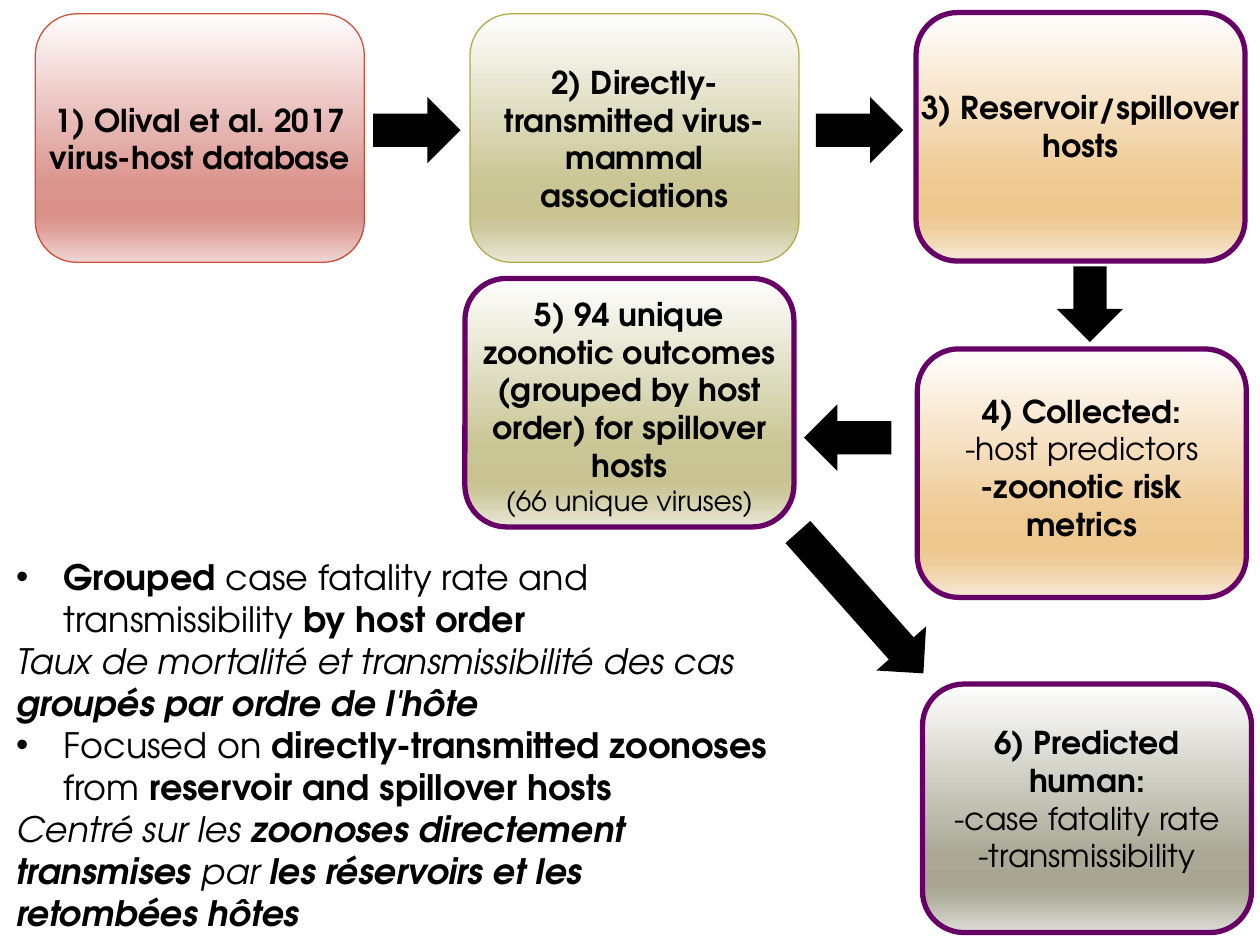
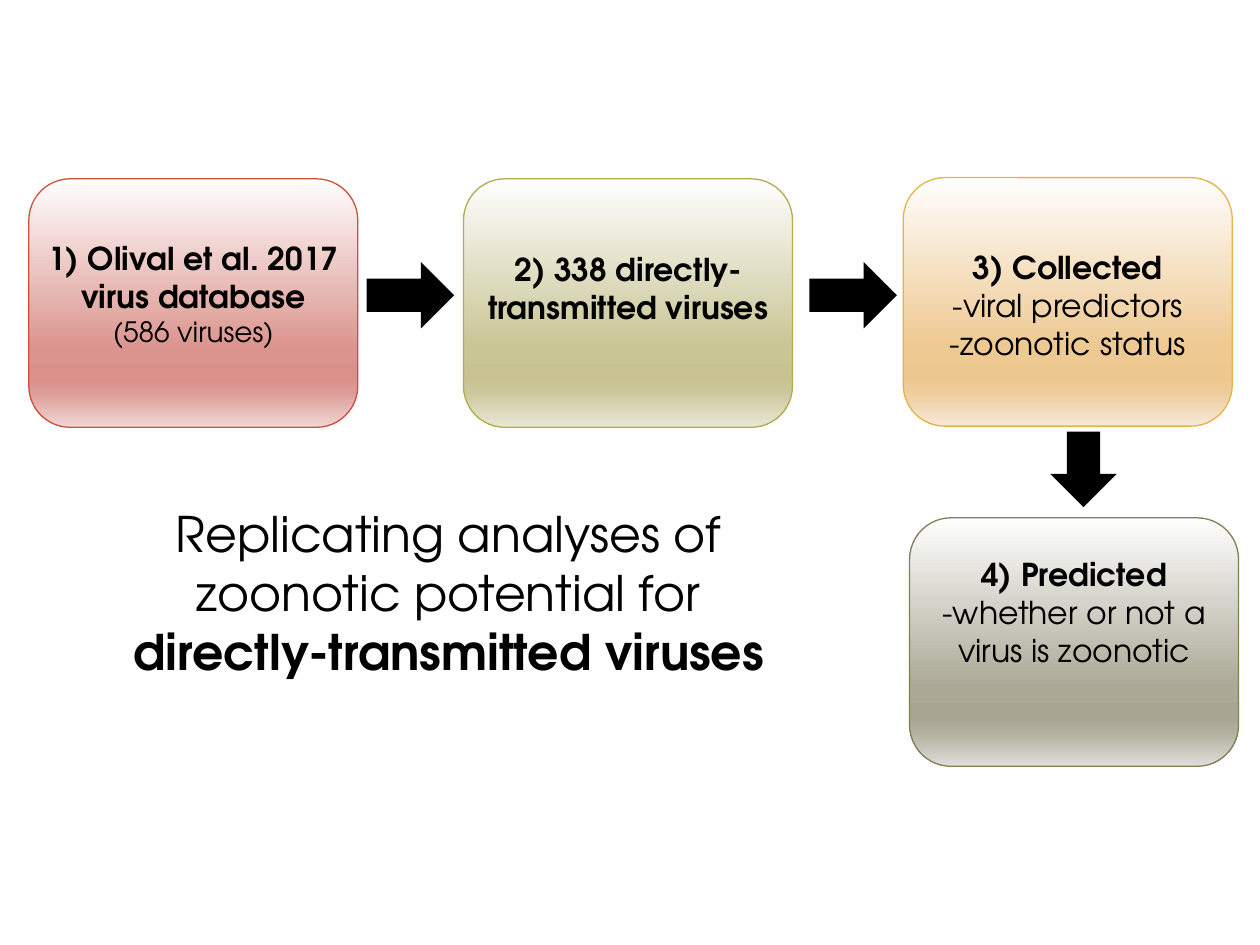
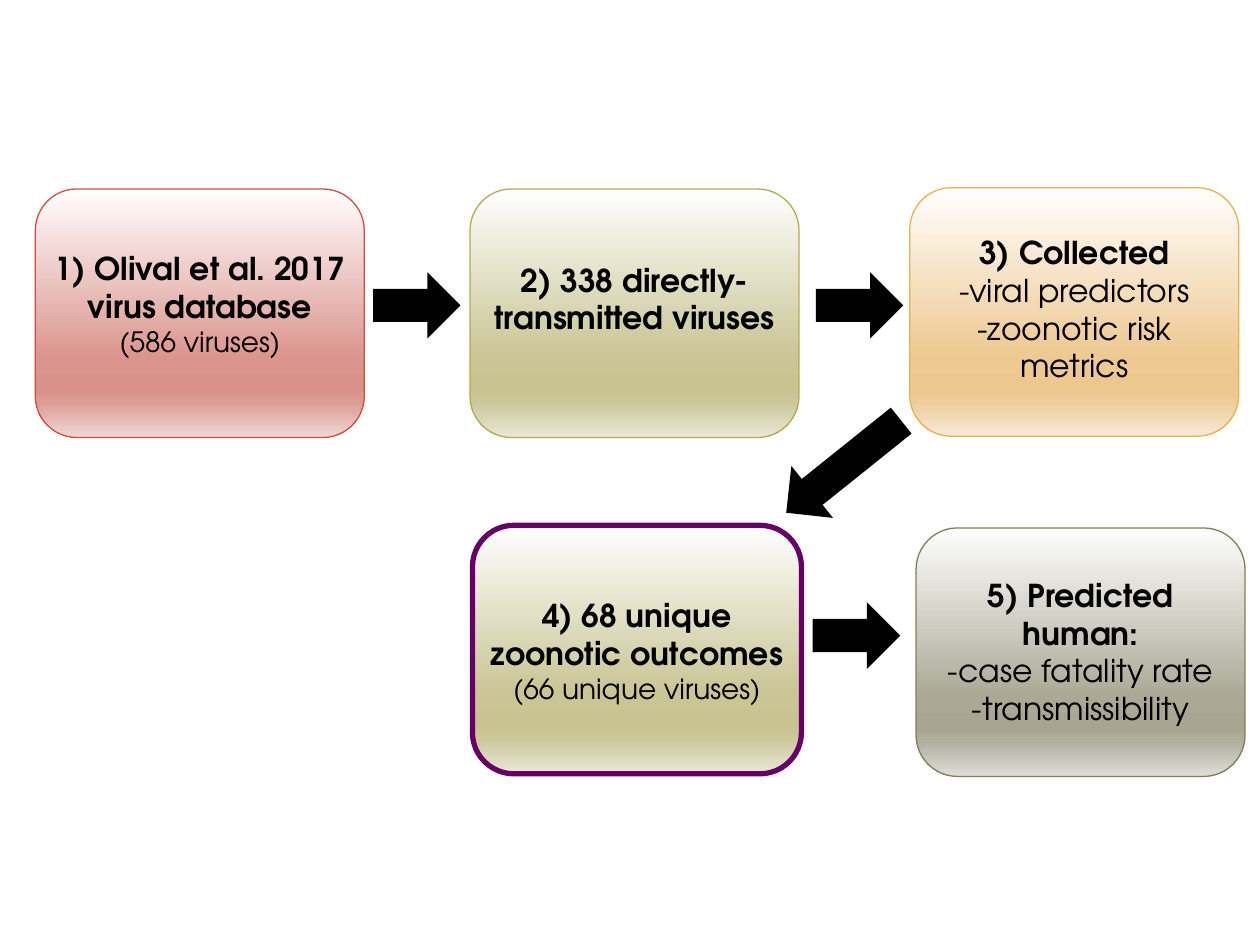
from lxml import etree
from pptx import Presentation
from pptx.dml.color import RGBColor
from pptx.enum import shapes, text
from pptx.oxml import ns
from pptx.util import Pt

FONT = "TeX Gyre Adventor"
BLACK, WHITE, PURPLE = "000000", "FFFFFF", "660066"
CARD_W, CARD_H, ARROW_W, ARROW_H = 188, 142, 50, 38
LINE_H, INSET, BULLET = 21.6, 3.6, 27
STOPS = (0, 68, 81, 86, 100)
TONES = {
    "red": ("CE503A", ("FFFEFE", "DB958E", "DA918A", "DD9D97", "F0D7D5")),
    "green": ("B3AC4F", ("FEFEFE", "C9C594", "C8C390", "CCC89C", "E9E7D7")),
    "orange": ("E7B248", ("FFFEFE", "EEC992", "EDC88E", "EECC9B", "F7E9D7")),
    "grey": ("827E55", ("FEFEFE", "ABA996", "A8A692", "B1AF9E", "DEDDD8")),
}

HEAD = {"size": 18, "bold": True}
ITEM = {"size": 18, "bold": False}
NOTE = {"size": 16, "bold": False}
BIG = {"size": 28, "bold": False}
EN = {"size": 20, "bold": False, "italic": False}
FR = {**EN, "italic": True}
EN_B, FR_B = {**EN, "bold": True}, {**FR, "bold": True}
BIG_B = {**BIG, "bold": True}

DATABASE = ("red", False, (0, 0), (31, 188, 3),
            [("1) Olival et al. 2017 virus database", HEAD), ("(586 viruses)", NOTE)])
DIRECT = ("green", False, (248.4, 0), (37.4, 188, 2),
          [("2) 338 directly-transmitted viruses", HEAD)])
RISK = [("-case fatality rate", ITEM), ("-transmissibility", ITEM)]
ROW_ARROWS = [(193, 47.5, ARROW_W, 0), (446, 47.5, ARROW_W, 0)]
DOWN_ARROW = (581, 147, 43.2, 90)

SLIDES = [
    {
        "origin": (20.2, 7.9),
        "cards": [
            ("red", False, (0, 0), (46.1, 188, 3),
             [("1) Olival et al. 2017 virus-host database", HEAD)]),
            ("green", False, (248.4, 0), (24.5, 188, 4),
             [("2) Directly-transmitted virus-mammal associations", HEAD)]),
            ("orange", True, (503.3, -0.7), (39.6, 207, 2),
             [("3) Reservoir/spillover hosts", HEAD)]),
            ("orange", True, (504, 191.5), (20.9, 184, 4),
             [("4) Collected:", HEAD), ("-host predictors", ITEM),
              ("-zoonotic risk metrics", HEAD)]),
            ("green", True, (245.5, 151.2), (5.8, 188, 6),
             [("5) 94 unique zoonotic outcomes (grouped by host order) for spillover hosts", HEAD),
              ("(66 unique viruses)", NOTE)]),
            ("grey", True, (507, 383), (18.7, 185, 4), [("6) Predicted human:", HEAD)] + RISK),
        ],
        "arrows": ROW_ARROWS + [DOWN_ARROW, (439.2, 223.2, ARROW_W, 180),
                                (417.6, 317.5, 108, 48.4)],
        "caption": ((2.2, 313.9, 444.2, 225.4), "LEFT", [
            (True, [("Grouped ", EN_B), ("case fatality rate and transmissibility ", EN),
                    ("by host order", EN_B)]),
            (False, [("Taux de mortalité et transmissibilité des cas ", FR),
                     ("groupés par ordre de l'hôte", FR_B)]),
            (True, [("Focused on ", EN), ("directly-transmitted zoonoses ", EN_B),
                    ("from ", EN), ("reservoir and spillover hosts", EN_B)]),
            (False, [("Centré sur les ", FR), ("zoonoses directement transmises ", FR_B),
                     ("par ", FR), ("les réservoirs et les retombées hôtes", FR_B)]),
        ]),
    },
    {
        "origin": (16.5, 102.2),
        "cards": [
            DATABASE,
            DIRECT,
            ("orange", False, (499.7, -0.7), (36.7, 184, 3),
             [("3) Collected", HEAD), ("-viral predictors", ITEM), ("-zoonotic status", ITEM)]),
            ("grey", False, (503.3, 193.7), (18, 185, 3),
             [("4) Predicted", HEAD), ("-whether or not a virus is zoonotic", ITEM)]),
        ],
        "arrows": ROW_ARROWS + [DOWN_ARROW],
        "caption": ((56.9, 284.4, 398.9, 108.7), "CENTER", [
            (False, [("Replicating analyses of zoonotic potential for ", BIG),
                     ("directly-transmitted viruses", BIG_B)]),
        ]),
    },
    {
        "origin": (20.2, 108),
        "cards": [
            DATABASE,
            DIRECT,
            ("orange", False, (499.7, -0.7), (22.3, 184, 4),
             [("3) Collected", HEAD), ("-viral predictors", ITEM),
              ("-zoonotic risk metrics", ITEM)]),
            ("green", True, (249.8, 192.2), (36.7, 188, 3),
             [("4) 68 unique zoonotic outcomes", HEAD), ("(66 unique viruses)", NOTE)]),
            ("grey", False, (503.3, 193.7), (23.8, 185, 4),
             [("5) Predicted human:", HEAD)] + RISK),
        ],
        "arrows": ROW_ARROWS + [(444.2, 236.2, ARROW_W, 0), (419.8, 139.7, 84.2, 141.3)],
        "caption": None,
    },
]


def rgb(value):
    return RGBColor.from_string(value)


def add_shape(s, kind, *box):
    sp = s.shapes.add_shape(kind, *map(Pt, box))
    sp.shadow.inherit = False
    return sp


def set_gradient(sp, colours):
    sp.fill.gradient()
    sp.fill.gradient_angle = 270
    stops = sp._element.spPr.find(".//" + ns.qn("a:gsLst"))
    for old in list(stops):
        stops.remove(old)
    for pos, colour in zip(STOPS, colours):
        stop = etree.SubElement(stops, ns.qn("a:gs"), pos=str(pos * 1000))
        etree.SubElement(stop, ns.qn("a:srgbClr"), val=colour)


def add_bullet(p):
    pPr = p._p.get_or_add_pPr()
    pPr.set("marL", str(Pt(BULLET)))
    pPr.set("indent", str(-Pt(BULLET)))
    etree.SubElement(pPr, ns.qn("a:buFont"), typeface="Arial")
    etree.SubElement(pPr, ns.qn("a:buChar"), char="•")


def add_text(s, box, align, paragraphs):
    sp = s.shapes.add_textbox(*map(Pt, box))
    tf = sp.text_frame
    tf.word_wrap = True
    tf.auto_size = text.MSO_AUTO_SIZE.SHAPE_TO_FIT_TEXT
    for i, (bullet, runs) in enumerate(paragraphs):
        p = tf.paragraphs[0] if i == 0 else tf.add_paragraph()
        p.alignment = text.PP_ALIGN[align]
        if bullet:
            add_bullet(p)
        for words, fmt in runs:
            r = p.add_run()
            r.text = words
            for name, value in {**fmt, "size": Pt(fmt["size"]), "name": FONT}.items():
                setattr(r.font, name, value)
            r.font.color.rgb = rgb(BLACK)
    return sp


def add_card(s, origin, tone, outlined, offset, label, lines):
    left, top = (a + b for a, b in zip(origin, offset))
    edge, colours = TONES[tone]
    sp = add_shape(s, shapes.MSO_SHAPE.ROUNDED_RECTANGLE, left, top, CARD_W, CARD_H)
    set_gradient(sp, colours)
    sp.line.color.rgb = rgb(PURPLE if outlined else edge)
    sp.line.width = Pt(3 if outlined else 0.75)
    dy, width, rows = label
    box = (left + (CARD_W - width) / 2, top + dy, width, rows * LINE_H + 2 * INSET)
    add_text(s, box, "CENTER", [(False, [line]) for line in lines])


def add_arrow(s, origin, x, y, width, angle):
    sp = add_shape(s, shapes.MSO_SHAPE.RIGHT_ARROW, origin[0] + x, origin[1] + y, width, ARROW_H)
    sp.rotation = angle
    sp.fill.solid()
    sp.fill.fore_color.rgb = rgb(BLACK)
    sp.line.fill.background()


def main():
    prs = Presentation()
    prs.slide_width, prs.slide_height = Pt(720), Pt(540)
    for content in SLIDES:
        s = prs.slides.add_slide(prs.slide_layouts[6])
        for card in content["cards"]:
            add_card(s, content["origin"], *card)
        for arrow in content["arrows"]:
            add_arrow(s, content["origin"], *arrow)
        if content["caption"]:
            sp = add_text(s, *content["caption"])
            sp.fill.solid()
            sp.fill.fore_color.rgb = rgb(WHITE)
    prs.save("out.pptx")


if __name__ == "__main__":
    main()
